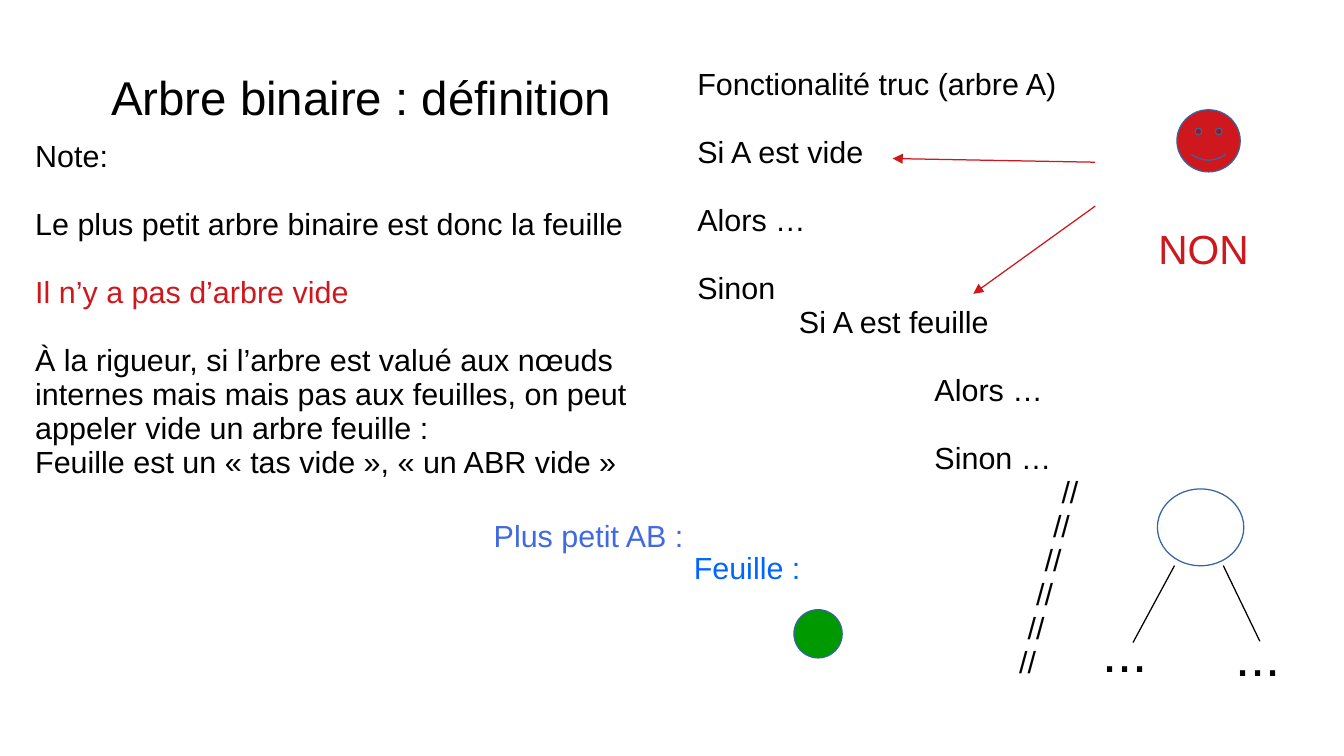
from lxml import etree
from pptx import Presentation
from pptx.dml.color import RGBColor
from pptx.enum.shapes import MSO_CONNECTOR, MSO_SHAPE
from pptx.oxml.ns import qn
from pptx.util import Pt

OVAL = MSO_SHAPE.OVAL
SMILEY = MSO_SHAPE.SMILEY_FACE
STRAIGHT = MSO_CONNECTOR.STRAIGHT

BLACK = "000000"
WHITE = "FFFFFF"
RED = "CE181E"
GREEN = "009900"
EDGE = "3465A4"
ROYAL = "4169E1"
AZURE = "0066FF"

SPACE = 5
GAP = 20

NOTE = [
    ("Note:", 0, 0, BLACK),
    ("Le plus petit arbre binaire est donc la feuille", 0, GAP, BLACK),
    ("Il n’y a pas d’arbre vide", 0, GAP, RED),
    ("À la rigueur, si l’arbre est valué aux nœuds internes mais mais pas "
     "aux feuilles, on peut appeler vide un arbre feuille :", 0, GAP, BLACK),
    ("Feuille est un « tas vide », « un ABR vide »", 0, 0, BLACK),
]

CODE = [
    ("Fonctionalité truc (arbre A)", 0, 0, BLACK),
    ("Si A est vide", 0, GAP, BLACK),
    ("Alors …", 0, GAP, BLACK),
    ("Sinon", 0, GAP, BLACK),
    ("Si A est feuille", 12 * SPACE, 0, BLACK),
    ("Alors …", 28 * SPACE, GAP, BLACK),
    ("Sinon …", 28 * SPACE, GAP, BLACK),
] + [("//", step * SPACE, 0, BLACK) for step in range(43, 37, -1)]


def color(code):
    return RGBColor.from_string(code)


def add_text(slide, left, top, width, height, lines, size=18, inset=3.6):
    box = slide.shapes.add_textbox(Pt(left), Pt(top), Pt(width), Pt(height))
    frame = box.text_frame
    frame.word_wrap = True
    frame.margin_left = frame.margin_right = Pt(7.2)
    frame.margin_top = Pt(inset)
    frame.margin_bottom = Pt(3.6)
    for index, (text, indent, gap, ink) in enumerate(lines):
        para = frame.add_paragraph() if index else frame.paragraphs[0]
        para.text = text
        para.line_spacing = 0.93
        if gap:
            para.space_before = Pt(gap)
        if indent:
            para._p.get_or_add_pPr().set("marL", str(Pt(indent)))
        para.font.name = "Arial"
        para.font.size = Pt(size)
        para.font.color.rgb = color(ink)


def add_label(slide, left, top, width, height, text, size, ink, inset):
    add_text(slide, left, top, width, height, [(text, 0, 0, ink)], size, inset)


def add_form(slide, kind, left, top, width, height, fill):
    form = slide.shapes.add_shape(kind, Pt(left), Pt(top), Pt(width), Pt(height))
    form.shadow.inherit = False
    form.fill.solid()
    form.fill.fore_color.rgb = color(fill)
    form.line.color.rgb = color(EDGE)
    form.line.width = Pt(0.75)


def add_line(slide, start, end, ink, arrow=False):
    line = slide.shapes.add_connector(STRAIGHT, *map(Pt, start + end))
    line.line.color.rgb = color(ink)
    line.line.width = Pt(0.75)
    if arrow:
        tail = etree.SubElement(line.line._get_or_add_ln(), qn("a:tailEnd"))
        tail.set("type", "triangle")
    etree.SubElement(line._element.spPr, qn("a:effectLst"))


def main():
    deck = Presentation()
    deck.slide_width = Pt(793.44)
    deck.slide_height = Pt(446.4)
    slide = deck.slides.add_slide(deck.slide_layouts[6])

    add_label(slide, 58.5, 37.5, 475, 50, "Arbre binaire : définition", 28, BLACK, 5.8)
    add_form(slide, OVAL, 468.7, 360, 28.5, 28.5, GREEN)
    add_label(slide, 402.5, 321, 107, 27.5, "Feuille :", 18, AZURE, 5)
    add_label(slide, 284.4, 303.8, 134.6, 50, "Plus petit AB :", 18, ROYAL, 3.6)
    add_text(slide, 13.7, 79.2, 392.4, 208, NOTE)
    add_text(slide, 404.6, 36.7, 358.6, 388, CODE)

    add_form(slide, OVAL, 683.3, 288.7, 51, 45.4, WHITE)
    add_line(slide, (693.4, 334), (668.9, 379.4), BLACK)
    add_line(slide, (722.2, 334), (743.8, 378.7), BLACK)
    for left, top in ((722.2, 365), (643.7, 362.9)):
        add_label(slide, left, top, 50, 54.7, "...", 32, BLACK, 5.8)

    add_form(slide, SMILEY, 694.8, 64.8, 37.4, 36.7, RED)
    add_line(slide, (646.6, 95.8), (527, 93.6), RED, True)
    add_line(slide, (646.6, 121.7), (574.6, 173.5), RED, True)
    add_label(slide, 676.8, 131, 103.7, 33.8, "NON", 24, RED, 3.6)

    deck.save("out.pptx")


if __name__ == "__main__":
    main()
